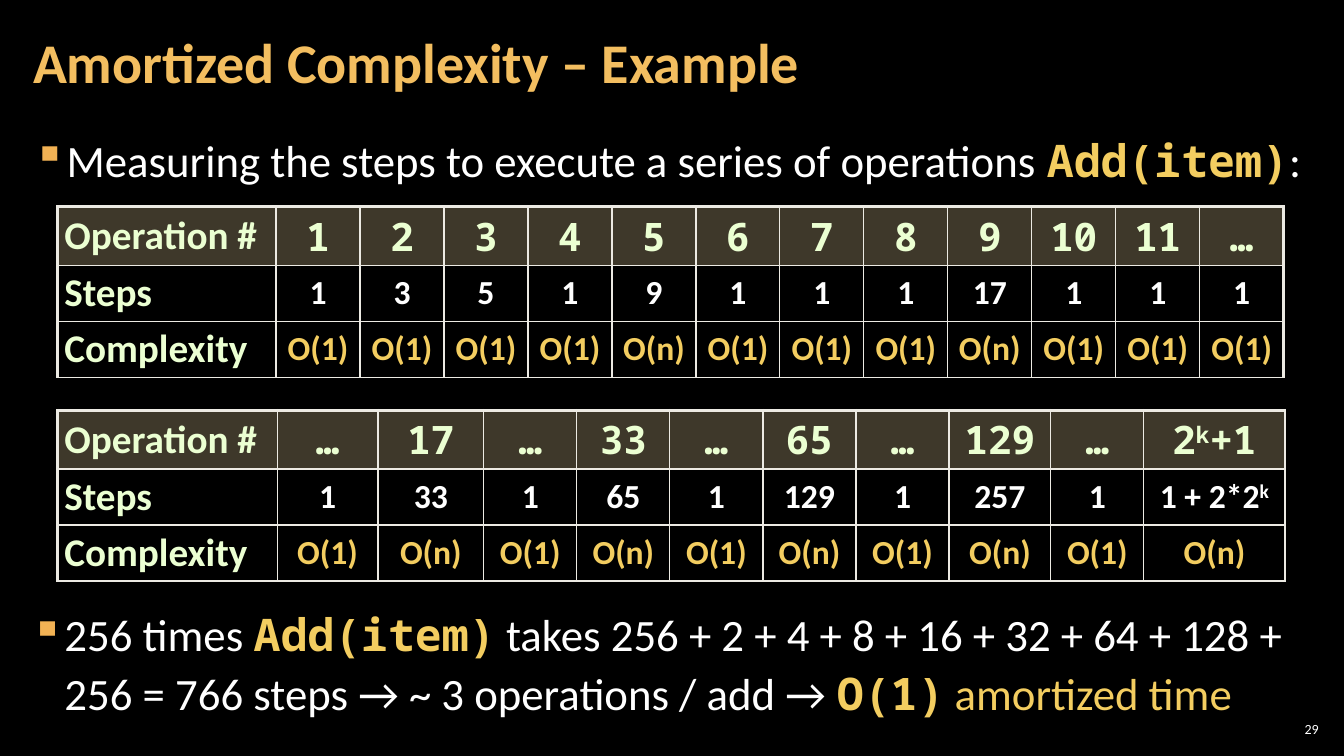
from dataclasses import dataclass
from typing import NamedTuple

from lxml import etree
from pptx import Presentation
from pptx.dml.color import RGBColor
from pptx.enum import text as t
from pptx.oxml.ns import qn
from pptx.util import Pt


@dataclass(frozen=True)
class Theme:
    back: str = "000000"
    title: str = "F3BE60"
    bullet: str = "F2B254"
    gold: str = "F3CD60"
    white: str = "FFFFFF"
    mint: str = "EBFFD2"
    head: str = "7C7154"
    line: str = "ECEAE3"
    sans: str = "Calibri"
    mono: str = "Noto Sans Mono"
    big: int = 40
    body: int = 32
    label: int = 28
    value: int = 24
    small: int = 10
    thin: float = 1
    thick: float = 2.25


TH = Theme()


class Box(NamedTuple):
    left: float
    top: float
    width: float
    height: float


class Style(NamedTuple):
    size: int
    color: str
    font: str = TH.sans
    bold: bool = False
    base: int = 0


class Span(NamedTuple):
    words: str
    style: Style


class Point(NamedTuple):
    box: Box
    inset: float
    space: float
    spans: list[Span]


class Grid(NamedTuple):
    left: float
    top: float
    widths: list[float]
    right: float
    rows: list[list[str]]


PLAIN = Style(TH.body, TH.white)
CODE = Style(TH.body, TH.gold, TH.mono, True)
GOLD = Style(TH.body, TH.gold)
LABEL = Style(TH.label, TH.mint, bold=True)
CELLS = [
    Style(TH.label, TH.mint, TH.mono, True),
    Style(TH.value, TH.white, bold=True),
    Style(TH.value, TH.gold, bold=True),
]
HEADS = ["Operation #", "Steps", "Complexity"]
HEIGHTS = [42, 40, 40]

POINTS = [
    Point(Box(15, 91, 930, 53), 8.64, 1, [
        Span("Measuring the steps to execute a series of operations ", PLAIN),
        Span("Add(item)", CODE),
        Span(":", PLAIN),
    ]),
    Point(Box(15, 426, 930, 93), 7.2, 1.1, [
        Span("256 times ", PLAIN),
        Span("Add(item)", CODE),
        Span(" takes 256 + 2 + 4 + 8 + 16 + 32 + 64 + 128 + 256 = 766 steps"
             " → ~ 3 operations / add → ", PLAIN),
        Span("O(1)", CODE),
        Span(" amortized time", GOLD),
    ]),
]

GRIDS = [
    Grid(41, 147.6, [156.2] + [60] * 12, TH.thick, [
        "1 2 3 4 5 6 7 8 9 10 11 …".split(),
        "1 3 5 1 9 1 1 1 17 1 1 1".split(),
        "O(1) O(1) O(1) O(1) O(n) O(1) O(1) O(1) O(n) O(1) O(1) O(1)".split(),
    ]),
    Grid(41, 293, [157, 72, 75.6] + [66.5] * 5 + [72.7, 66.5, 100.8], TH.thin, [
        "… 17 … 33 … 65 … 129 … 2^k^+1".split(),
        ["1", "33", "1", "65", "1", "129", "1", "257", "1", "1 + 2*2^k"],
        ["O(1)", "O(n)"] * 5,
    ]),
]


def dress(run, style: Style) -> None:
    font = run.font
    font.size, font.name, font.bold = Pt(style.size), style.font, style.bold
    font.color.rgb = RGBColor.from_string(style.color)
    if style.base:
        run._r.get_or_add_rPr().set("baseline", str(style.base * 1000))


def write(para, spans: list[Span]) -> None:
    for span in spans:
        run = para.add_run()
        run.text = span.words
        dress(run, span.style)


def place(shape, box: Box, side: float, edge: float):
    shape.left, shape.top, shape.width, shape.height = map(Pt, box)
    frame = shape.text_frame
    frame.word_wrap, frame.auto_size = True, t.MSO_AUTO_SIZE.NONE
    frame.margin_left = frame.margin_right = Pt(side)
    frame.margin_top = frame.margin_bottom = Pt(edge)
    return frame


def label(shape, box: Box, side: float, words: str, style: Style, align) -> None:
    frame = place(shape, box, side, 3)
    frame.vertical_anchor = t.MSO_ANCHOR.MIDDLE
    frame.text = words
    para = frame.paragraphs[0]
    para.alignment, para.line_spacing = align, 0.9
    dress(para.runs[0], style)


def draw_point(slide, point: Point) -> None:
    shape = slide.shapes.add_textbox(*map(Pt, point.box))
    para = place(shape, point.box, point.inset, 3.6).paragraphs[0]
    para.line_spacing = point.space
    para.space_before = para.space_after = Pt(6)
    props = para._p.get_or_add_pPr()
    props.set("marL", str(Pt(24)))
    props.set("indent", str(-Pt(24)))
    tint = etree.SubElement(props, qn("a:buClr"))
    etree.SubElement(tint, qn("a:srgbClr"), val=TH.bullet)
    etree.SubElement(props, qn("a:buChar"), char="▪")
    write(para, point.spans)


def border(cell, sides: dict[str, float]) -> None:
    props = cell._tc.get_or_add_tcPr()
    for side, width in sides.items():
        line = etree.SubElement(props, qn("a:ln" + side), w=str(Pt(width)))
        fill = etree.SubElement(line, qn("a:solidFill"))
        etree.SubElement(fill, qn("a:srgbClr"), val=TH.line)


def shade(cell, head: bool) -> None:
    if not head:
        cell.fill.background()
        return
    cell.fill.solid()
    cell.fill.fore_color.rgb = RGBColor.from_string(TH.head)
    tint = cell._tc.tcPr.find(qn("a:solidFill")).find(qn("a:srgbClr"))
    etree.SubElement(tint, qn("a:alpha"), val="50000")


def fill_cell(cell, words: str, style: Style, head: bool, first: bool) -> None:
    cell.vertical_anchor = t.MSO_ANCHOR.MIDDLE
    cell.margin_left = cell.margin_right = Pt(5)
    cell.margin_top = cell.margin_bottom = 0
    para = cell.text_frame.paragraphs[0]
    para.alignment = t.PP_ALIGN.LEFT if first else t.PP_ALIGN.CENTER
    if head:
        para.line_spacing = 0.95
        gap = etree.SubElement(para._p.get_or_add_pPr(), qn("a:spcBef"))
        etree.SubElement(gap, qn("a:spcPct"), val="40000")
    else:
        para.space_before = para.space_after = Pt(3)
    write(para, [Span(bit, style._replace(base=30 * (i % 2)))
                 for i, bit in enumerate(words.split("^"))])


def draw_grid(slide, grid: Grid) -> None:
    last = len(grid.widths) - 1
    box = Box(grid.left, grid.top, sum(grid.widths), sum(HEIGHTS))
    table = slide.shapes.add_table(len(HEADS), last + 1, *map(Pt, box)).table
    table.first_row = table.horz_banding = False
    for col, width in zip(table.columns, grid.widths):
        col.width = Pt(width)
    for r, (name, values) in enumerate(zip(HEADS, grid.rows)):
        table.rows[r].height = Pt(HEIGHTS[r])
        for c, words in enumerate([name, *values]):
            cell = table.cell(r, c)
            border(cell, {
                "L": TH.thin if c else TH.thick,
                "R": grid.right if c == last else TH.thin,
                "T": TH.thin if r else TH.thick,
                "B": TH.thin,
            })
            shade(cell, r == 0)
            fill_cell(cell, words, CELLS[r] if c else LABEL, r == 0, c == 0)


def main() -> None:
    deck = Presentation()
    deck.slide_width, deck.slide_height = Pt(960), Pt(540)
    slide = deck.slides.add_slide(deck.slide_layouts[5])
    slide.background.fill.solid()
    slide.background.fill.fore_color.rgb = RGBColor.from_string(TH.back)
    label(slide.shapes.title, Box(15, 3, 754, 87), 8.64,
          "Amortized Complexity – Example",
          Style(TH.big, TH.title, bold=True), t.PP_ALIGN.LEFT)
    page = Box(911, 514, 34, 15)
    label(slide.shapes.add_textbox(*map(Pt, page)), page, 3, "29",
          Style(TH.small, TH.white), t.PP_ALIGN.RIGHT)
    for point in POINTS:
        draw_point(slide, point)
    for grid in GRIDS:
        draw_grid(slide, grid)
    deck.save("out.pptx")


if __name__ == "__main__":
    main()
